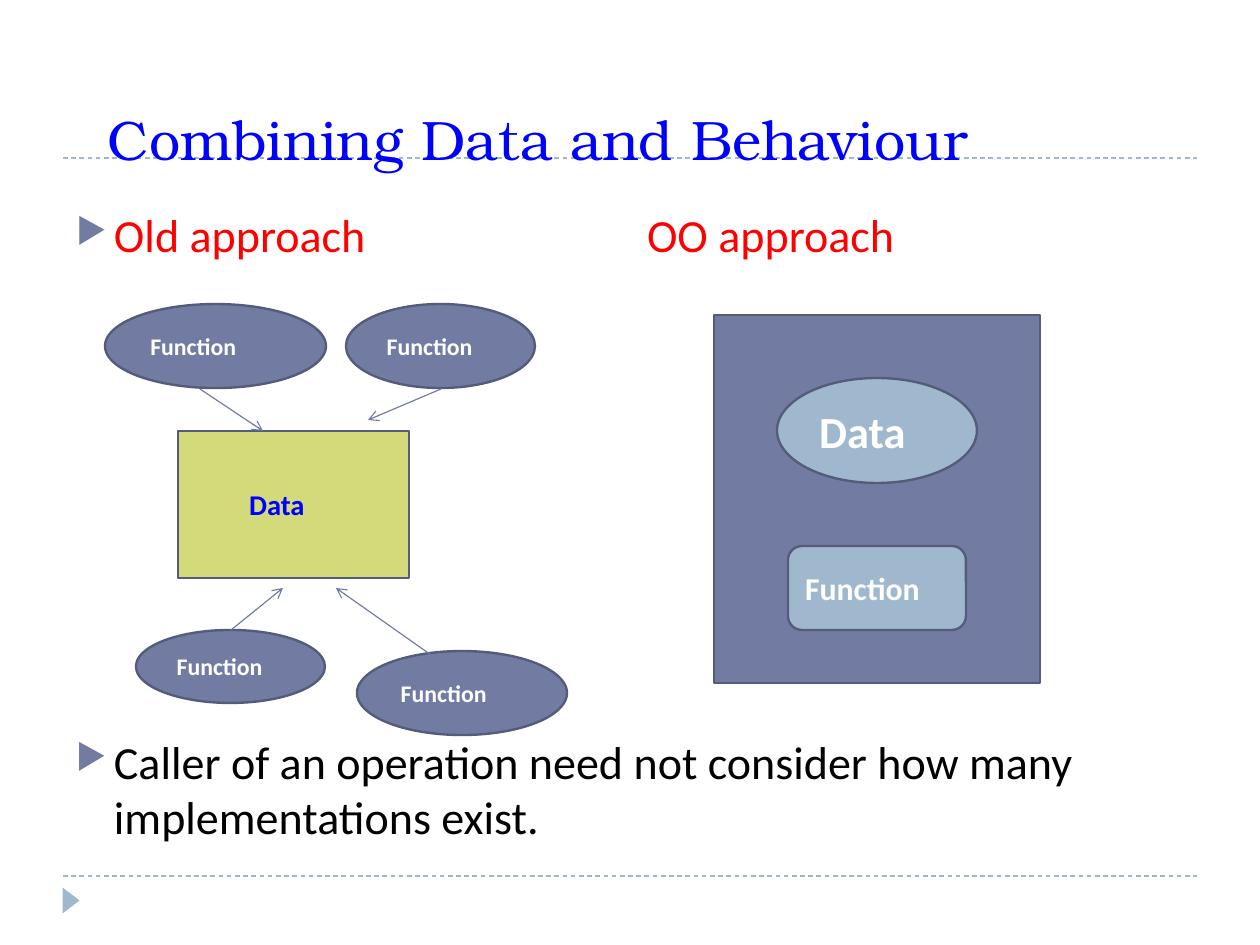
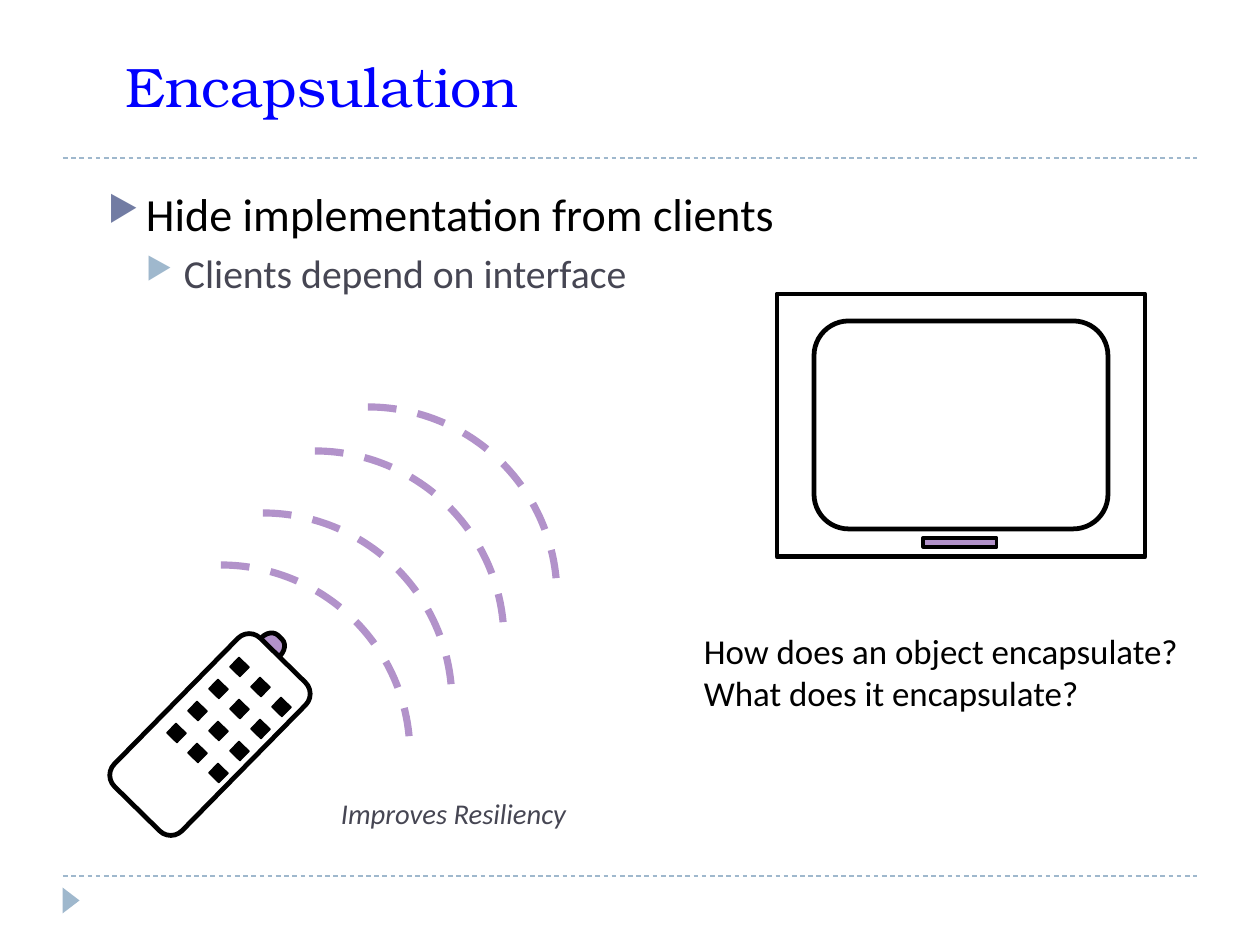
from lxml.etree import SubElement
from pptx import Presentation
from pptx.dml.color import RGBColor
from pptx.enum.dml import MSO_LINE
from pptx.enum.shapes import MSO_CONNECTOR, MSO_SHAPE as Kind
from pptx.enum.text import MSO_ANCHOR as Anchor, MSO_AUTO_SIZE as Fit, PP_ALIGN as Align
from pptx.oxml.ns import qn
from pptx.util import Pt

PX = 8000
BLUE = RGBColor(0x00, 0x00, 0xFF)
RED = RGBColor(0xFF, 0x00, 0x00)
BLACK = RGBColor(0x00, 0x00, 0x00)
WHITE = RGBColor(0xFF, 0xFF, 0xFF)
SLATE = RGBColor(0x72, 0x7C, 0xA3)
EDGE = RGBColor(0x54, 0x5C, 0x79)
SKY = RGBColor(0x9F, 0xB8, 0xCD)
LIME = RGBColor(0xD2, 0xDA, 0x7A)
LILAC = RGBColor(0xB2, 0x92, 0xCA)
GREY = RGBColor(0x46, 0x46, 0x53)
SANS = "Calibri"
SERIF = "TeX Gyre Bonum"


def draw(slide, kind, box, fill=None, line=None, width=1.5, turn=0):
    shape = slide.shapes.add_shape(kind, *[n * PX for n in box])
    shape.shadow.inherit = False
    shape.rotation = turn
    for part, color in ((shape.fill, fill), (shape.line.fill, line)):
        if color is None:
            part.background()
        else:
            part.solid()
            part.fore_color.rgb = color
    if line is not None:
        shape.line.width = Pt(width)
    return shape


def write(frame, text, size, color, anchor=Anchor.TOP, inset=(13, 7), level=0,
          bullet=None, before=0, name=SANS, bold=False, italic=False):
    """Add one left-aligned paragraph to the frame, with an optional bullet colour."""
    side, top = [n * PX for n in inset]
    style = dict(word_wrap=True, auto_size=Fit.NONE, vertical_anchor=anchor,
                 margin_left=side, margin_right=13 * PX, margin_top=top, margin_bottom=top)
    for key, value in style.items():
        setattr(frame, key, value)
    para = frame.add_paragraph() if frame.text else frame.paragraphs[0]
    para.alignment = Align.LEFT
    para.level = level
    if bullet is not None:
        props = para._p.get_or_add_pPr()
        props.set("marL", str(38 * (level + 1) * PX))
        props.set("indent", str(-38 * PX))
        SubElement(SubElement(props, qn("a:buClr")), qn("a:srgbClr"), val=str(bullet))
        SubElement(props, qn("a:buSzPct"), val="76000")
        SubElement(props, qn("a:buChar"), char="▶")
    if before:
        para.space_before = Pt(before)
    run = para.add_run()
    run.text = text
    for key, value in dict(name=name, size=Pt(size), bold=bold, italic=italic).items():
        setattr(run.font, key, value)
    run.font.color.rgb = color


deck = Presentation()
deck.slide_width, deck.slide_height = 1260 * PX, 945 * PX
plan = deck.slide_layouts[5]

# Titles and text boxes
pages = [
    ("Combining Data and Behaviour", (95, 32, 1071, 147), [
        ((63, 200, 500, 70), [("Old approach", 29, RED, dict(bullet=SLATE))]),
        ((634, 200, 500, 70), [("OO approach", 29, RED, {})]),
        ((63, 726, 1134, 130), [
            ("Caller of an operation need not consider how many implementations exist.",
             29, BLACK, dict(bullet=SLATE))]),
    ]),
    ("Encapsulation", (112, 21, 1054, 105), [
        ((95, 178, 1071, 130), [
            ("Hide implementation from clients", 29, BLACK, dict(bullet=SLATE)),
            ("Clients depend on interface", 25, GREY,
             dict(bullet=SKY, level=1, before=5.5))]),
        ((326, 788, 903, 49), [
            ("Improves Resiliency", 18, GREY, dict(inset=(15, 8), italic=True))]),
        ((689, 622, 523, 99), [
            ("How does an object encapsulate?", 22, BLACK, dict(inset=(15, 8))),
            ("What does it encapsulate?", 22, BLACK, dict(inset=(15, 8)))]),
    ]),
]
for head, place, boxes in pages:
    slide = deck.slides.add_slide(plan)
    title = slide.shapes.title
    title.left, title.top, title.width, title.height = [n * PX for n in place]
    write(title.text_frame, head, 35, BLUE, anchor=Anchor.BOTTOM, name=SERIF)
    for box, lines in boxes:
        frame = slide.shapes.add_textbox(*[n * PX for n in box]).text_frame
        for text, size, color, style in lines:
            write(frame, text, size, color, **style)
mix, hide = deck.slides

# Data and functions, apart and together
nodes = [
    (Kind.RECTANGLE, (178, 431, 231, 147), LIME, "Data", 18, BLUE, 71),
    (Kind.OVAL, (105, 304, 221, 84), SLATE, "Function", 15, WHITE, 13),
    (Kind.OVAL, (346, 304, 189, 84), SLATE, "Function", 15, WHITE, 13),
    (Kind.OVAL, (136, 630, 189, 73), SLATE, "Function", 15, WHITE, 13),
    (Kind.OVAL, (357, 651, 210, 84), SLATE, "Function", 15, WHITE, 13),
    (Kind.RECTANGLE, (714, 315, 326, 368), SLATE, "", 0, None, 13),
    (Kind.OVAL, (777, 378, 200, 105), SKY, "Data", 28, WHITE, 13),
    (Kind.ROUNDED_RECTANGLE, (788, 546, 178, 84), SKY, "Function", 20, WHITE, 13),
]
for kind, box, fill, text, size, color, side in nodes:
    node = draw(mix, kind, box, fill, EDGE)
    if text:
        write(node.text_frame, text, size, color, Anchor.MIDDLE, (side, 7), bold=True)

# Arrows, then the rules and marker that every slide shares
arrows = [(200, 389, 263, 431), (441, 389, 368, 420),
          (231, 630, 283, 588), (441, 662, 336, 588)]
rules = [(63, y, 1197, y) for y in (158, 876)]
marks = [draw(mix, Kind.ISOSCELES_TRIANGLE, (58, 892, 26, 17), SKY, turn=90)]
for ends in arrows + rules:
    link = mix.shapes.add_connector(MSO_CONNECTOR.STRAIGHT, *[n * PX for n in ends])
    link.line.width = Pt(0.75)
    link.line.color.rgb = SKY if ends in rules else SLATE
    props = link.element.spPr
    if ends in rules:
        link.line.dash_style = MSO_LINE.DASH
        marks.append(link)
    else:
        SubElement(props.find(qn("a:ln")), qn("a:tailEnd"), type="arrow")
    SubElement(props, qn("a:effectLst"))
for num, mark in enumerate(marks, 101):
    mark.element.xpath(".//p:cNvPr")[0].set("id", str(num))
    plan.shapes.element.append(mark.element)

# Signal waves
for x, y in ((221, 565), (263, 513), (315, 451), (368, 407)):
    wave = draw(hide, Kind.ARC, (x - 189, y, 378, 378), None, LILAC, 4.5)
    wave.line.dash_style = MSO_LINE.DASH

# Television
draw(hide, Kind.RECTANGLE, (777, 294, 368, 263), None, BLACK, 3)
draw(hide, Kind.ROUNDED_RECTANGLE, (814, 321, 294, 208), None, BLACK, 3)
draw(hide, Kind.RECTANGLE, (923, 538, 74, 9), LILAC, BLACK, 2)

# Remote control
TURN = 314.5
bulb = draw(hide, Kind.RIGHT_BRACKET, (269, 629, 13, 26), LILAC, BLACK, 3, TURN)
bulb.adjustments[0] = 0.78
draw(hide, Kind.ROUNDED_RECTANGLE, (106, 687, 208, 95), None, BLACK, 3, TURN)
for row in range(4):
    for col in range(3):
        key = (233 + 21 * col - 21 * row, 660 + 20 * col + 22 * row, 13, 14)
        draw(hide, Kind.RECTANGLE, key, BLACK, BLACK, 1, TURN)

deck.save("out.pptx")
